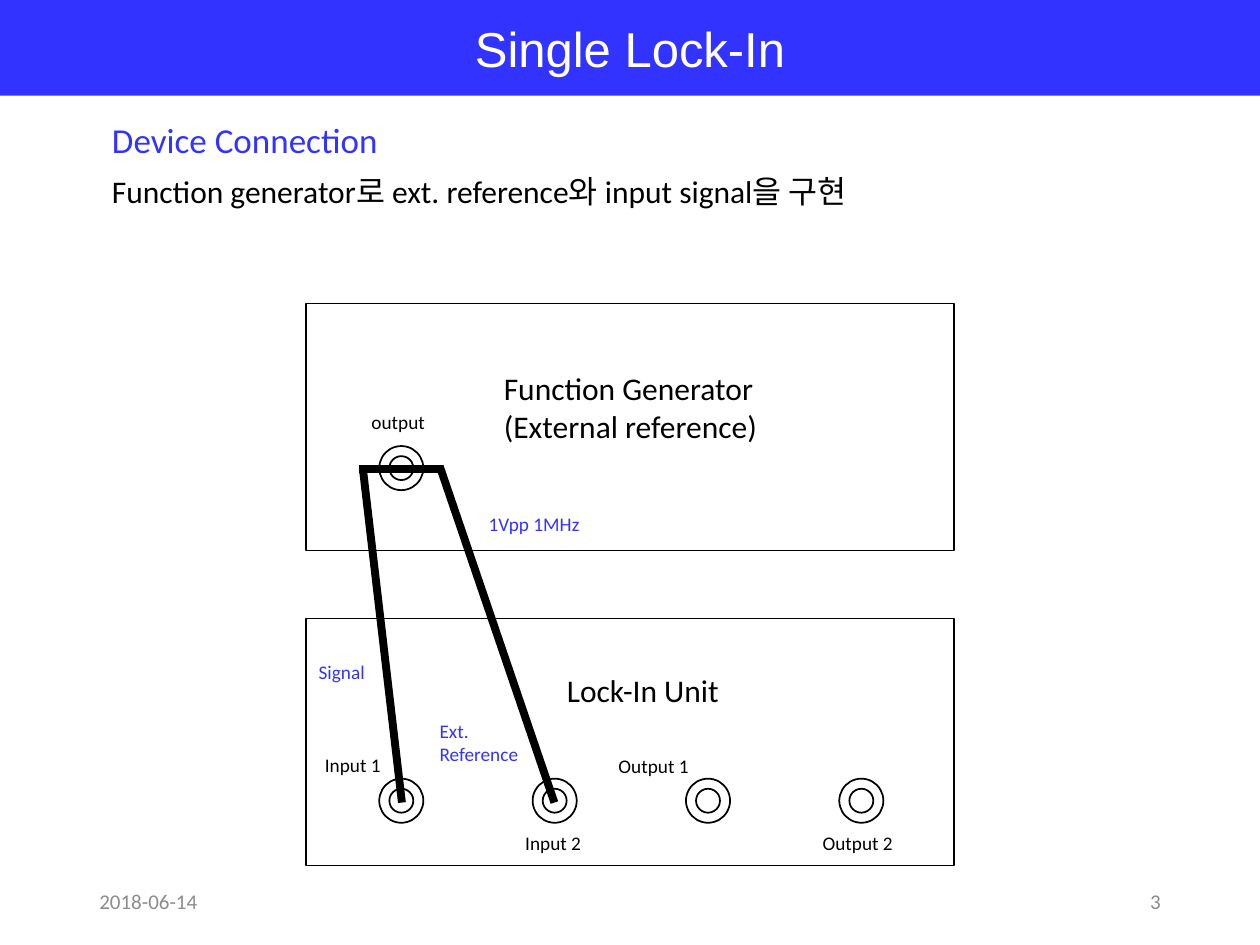
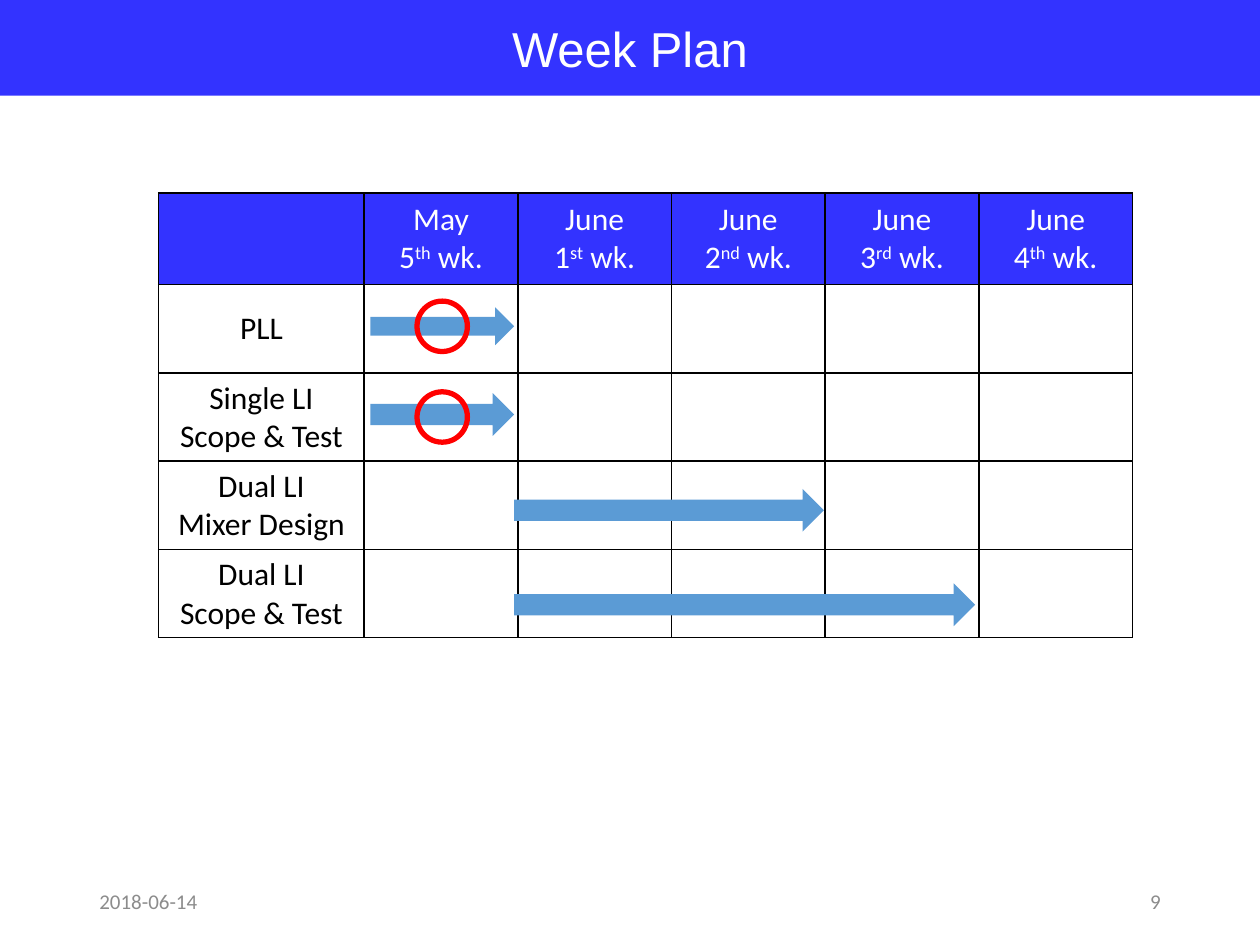
from dataclasses import dataclass

from lxml import etree
from pptx import Presentation
from pptx.dml.color import RGBColor
from pptx.enum.shapes import MSO_CONNECTOR, MSO_SHAPE
from pptx.enum.text import MSO_ANCHOR, PP_ALIGN
from pptx.oxml.ns import qn
from pptx.util import Inches, Pt

LEFT, CENTER, RIGHT = PP_ALIGN.LEFT, PP_ALIGN.CENTER, PP_ALIGN.RIGHT
TOP, MIDDLE = MSO_ANCHOR.TOP, MSO_ANCHOR.MIDDLE
RECT, OVAL, ARROW = MSO_SHAPE.RECTANGLE, MSO_SHAPE.OVAL, MSO_SHAPE.RIGHT_ARROW
STRAIGHT = MSO_CONNECTOR.STRAIGHT


@dataclass(frozen=True)
class Theme:
    blue: str = "3333FF"
    black: str = "000000"
    white: str = "FFFFFF"
    gray: str = "8C8C8C"
    arrow: str = "5B9BD5"
    red: str = "FF0000"
    title_font: str = "Arial"
    body_font: str = "Calibri"
    title: int = 28
    heading: int = 20
    body: int = 18
    footer: int = 12
    label: int = 11
    thin: float = 1
    ring: float = 3
    cable: float = 4.5


THEME = Theme()
DATE = "2018-06-14"


@dataclass(frozen=True)
class Box:
    x: float
    y: float
    w: float
    h: float

    def emu(self) -> tuple:
        return Inches(self.x), Inches(self.y), Inches(self.w), Inches(self.h)


@dataclass(frozen=True)
class Label:
    lines: tuple[str, ...]
    box: Box
    size: int = THEME.label
    color: str = THEME.black
    align: PP_ALIGN = LEFT
    anchor: MSO_ANCHOR = TOP


@dataclass(frozen=True)
class Cable:
    x1: float
    y1: float
    x2: float
    y2: float


@dataclass(frozen=True)
class Task:
    lines: tuple[str, ...]
    arrow: Box
    ring_y: float | None = None


@dataclass(frozen=True)
class Week:
    month: str
    number: str
    suffix: str


PANELS = [Box(2.43, y, 5.14, 1.96) for y in (2.41, 4.91)]
JACK_CENTERS = [(3.185, 3.715)] + [(3.185 + 1.217 * i, 6.355) for i in range(4)]
JACK_DIAMETERS = (0.35, 0.19)
CABLES = [
    Cable(2.88, 3.72, 3.19, 6.37),
    Cable(2.85, 3.72, 3.52, 3.72),
    Cable(3.49, 3.7, 4.4, 6.37),
]
CONNECTION_LABELS = [
    Label(("Device Connection",), Box(0.79, 0.89, 3.12, 0.44), THEME.heading, THEME.blue),
    Label(("Function generator로 ext. reference와 input signal을 구현",),
          Box(0.79, 1.32, 8.2, 0.4), THEME.body),
    Label(("Function Generator", "(External reference)"),
          Box(3.9, 2.88, 2.21, 0.71), THEME.body),
    Label(("Lock-In Unit",), Box(4.4, 5.28, 1.55, 0.4), THEME.body),
    Label(("output",), Box(2.85, 3.21, 0.66, 0.29)),
    Label(("Input 1",), Box(2.48, 5.93, 0.66, 0.29)),
    Label(("Input 2",), Box(4.07, 6.55, 0.66, 0.29)),
    Label(("Output 1",), Box(4.81, 5.94, 0.82, 0.29)),
    Label(("Output 2",), Box(6.43, 6.55, 0.82, 0.29)),
    Label(("Signal",), Box(2.43, 5.19, 0.58, 0.29), color=THEME.blue),
    Label(("Ext.", "Reference"), Box(3.39, 5.66, 0.89, 0.47), color=THEME.blue),
    Label(("1Vpp 1MHz",), Box(3.78, 4.02, 0.96, 0.29), color=THEME.blue),
]

WEEKS = [
    Week("May", "5", "th"),
    Week("June", "1", "st"),
    Week("June", "2", "nd"),
    Week("June", "3", "rd"),
    Week("June", "4", "th"),
]
TASKS = [
    Task(("PLL",), Box(2.94, 2.44, 1.14, 0.3), 2.39),
    Task(("Single LI", "Scope & Test"), Box(2.94, 3.12, 1.14, 0.34), 3.11),
    Task(("Dual LI", "Mixer Design"), Box(4.08, 3.88, 2.46, 0.34)),
    Task(("Dual LI", "Scope & Test"), Box(4.08, 4.63, 3.66, 0.34)),
]
PLAN_BOX = Box(1.26, 1.53, 7.75, 3.53)
TASK_COL, WEEK_COL = 1.63, 1.22
HEADER_ROW, TASK_ROW = 0.73, 0.7
RING_X, RING_SIZE = 3.31, 0.4


def rgb(color: str) -> RGBColor:
    return RGBColor.from_string(color)


def add_run(p, text: str, size: int, color: str, font: str = THEME.body_font,
            raised: bool = False) -> None:
    r = p.add_run()
    r.text = text
    r.font.name = font
    r.font.size = Pt(size)
    r.font.color.rgb = rgb(color)
    if raised:
        r._r.get_or_add_rPr().set("baseline", "30000")


def write_lines(tf, lines, size: int, color: str, align: PP_ALIGN,
                font: str = THEME.body_font) -> None:
    """Write one paragraph per line; a line is a sequence of (text, raised)."""
    for i, line in enumerate(lines):
        p = tf.add_paragraph() if i else tf.paragraphs[0]
        p.alignment = align
        for text, raised in line:
            add_run(p, text, size, color, font, raised)


def plain(lines: tuple[str, ...]) -> list:
    return [[(line, False)] for line in lines]


def add_shape(s, kind: MSO_SHAPE, box: Box, fill: str | None = None,
              line: str | None = None, width: float = THEME.thin):
    sp = s.shapes.add_shape(kind, *box.emu())
    sp.shadow.inherit = False
    if fill:
        sp.fill.solid()
        sp.fill.fore_color.rgb = rgb(fill)
    else:
        sp.fill.background()
    if line:
        sp.line.color.rgb = rgb(line)
        sp.line.width = Pt(width)
    else:
        sp.line.fill.background()
    return sp


def add_label(s, label: Label) -> None:
    tf = s.shapes.add_textbox(*label.box.emu()).text_frame
    tf.word_wrap = True
    tf.vertical_anchor = label.anchor
    write_lines(tf, plain(label.lines), label.size, label.color, label.align)


def add_cable(s, cable: Cable) -> None:
    c = s.shapes.add_connector(STRAIGHT, Inches(cable.x1), Inches(cable.y1),
                               Inches(cable.x2), Inches(cable.y2))
    c.line.color.rgb = rgb(THEME.black)
    c.line.width = Pt(THEME.cable)
    etree.SubElement(c._element.spPr, qn("a:effectLst"))


def add_jack(s, cx: float, cy: float) -> None:
    for d in JACK_DIAMETERS:
        add_shape(s, OVAL, Box(cx - d / 2, cy - d / 2, d, d), line=THEME.black)


def add_page(prs, title: str, number: str):
    """Add a slide with the title band, date and page number."""
    s = prs.slides.add_slide(prs.slide_layouts[6])
    tf = add_shape(s, RECT, Box(0, 0, 10, 0.76), THEME.blue).text_frame
    tf.word_wrap = False
    tf.vertical_anchor = MIDDLE
    write_lines(tf, plain((title,)), THEME.title, THEME.white, CENTER, THEME.title_font)
    for text, x, align in ((DATE, 0.69, LEFT), (number, 7.06, RIGHT)):
        add_label(s, Label((text,), Box(x, 6.95, 2.25, 0.4), THEME.footer,
                           THEME.gray, align, MIDDLE))
    return s


def style_cell(cell, fill: str | None) -> None:
    """Set black borders on all sides, then the fill."""
    tc_pr = cell._tc.get_or_add_tcPr()
    for side in ("a:lnL", "a:lnR", "a:lnT", "a:lnB"):
        ln = etree.SubElement(tc_pr, qn(side), w=str(Pt(THEME.thin)))
        solid = etree.SubElement(ln, qn("a:solidFill"))
        etree.SubElement(solid, qn("a:srgbClr"), val=THEME.black)
    if fill:
        cell.fill.solid()
        cell.fill.fore_color.rgb = rgb(fill)
    else:
        cell.fill.background()
    cell.vertical_anchor = MIDDLE


def add_plan_table(s) -> None:
    rows, cols = len(TASKS) + 1, len(WEEKS) + 1
    table = s.shapes.add_table(rows, cols, *PLAN_BOX.emu()).table
    for i, col in enumerate(table.columns):
        col.width = Inches(WEEK_COL if i else TASK_COL)
    for i, row in enumerate(table.rows):
        row.height = Inches(TASK_ROW if i else HEADER_ROW)
        for cell in row.cells:
            style_cell(cell, None if i else THEME.blue)
    for i, week in enumerate(WEEKS, 1):
        lines = [[(week.month, False)],
                 [(week.number, False), (week.suffix, True), (" wk.", False)]]
        write_lines(table.cell(0, i).text_frame, lines, THEME.body, THEME.white, CENTER)
    for i, task in enumerate(TASKS, 1):
        write_lines(table.cell(i, 0).text_frame, plain(task.lines), THEME.body,
                    THEME.black, CENTER)


def build_connection(prs) -> None:
    s = add_page(prs, "Single Lock-In", "3")
    for panel in PANELS:
        add_shape(s, RECT, panel, line=THEME.black)
    for cx, cy in JACK_CENTERS:
        add_jack(s, cx, cy)
    for cable in CABLES:
        add_cable(s, cable)
    for label in CONNECTION_LABELS:
        add_label(s, label)


def build_week_plan(prs) -> None:
    s = add_page(prs, "Week Plan", "9")
    add_plan_table(s)
    for task in TASKS:
        add_shape(s, ARROW, task.arrow, THEME.arrow)
        if task.ring_y is not None:
            add_shape(s, OVAL, Box(RING_X, task.ring_y, RING_SIZE, RING_SIZE),
                      line=THEME.red, width=THEME.ring)


def main() -> None:
    prs = Presentation()
    prs.slide_width, prs.slide_height = Inches(10), Inches(7.5)
    build_connection(prs)
    build_week_plan(prs)
    prs.save("out.pptx")


if __name__ == "__main__":
    main()
